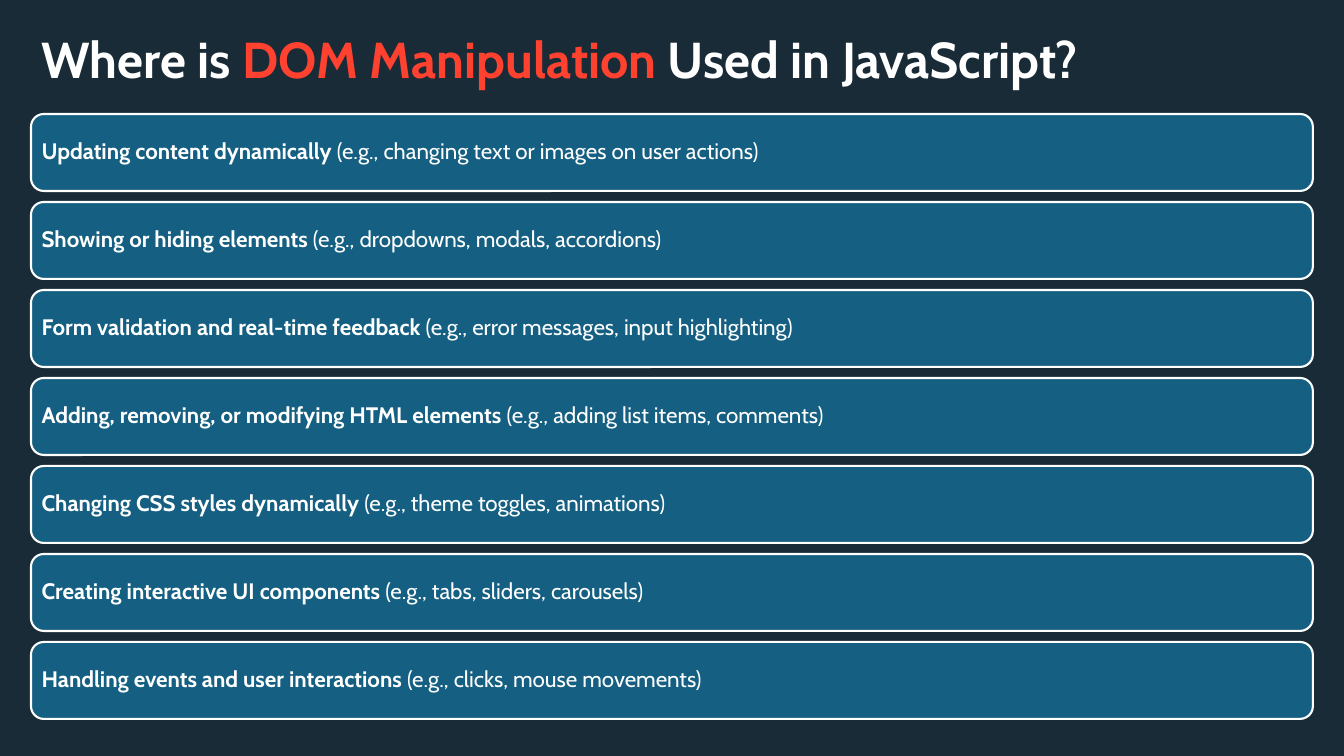
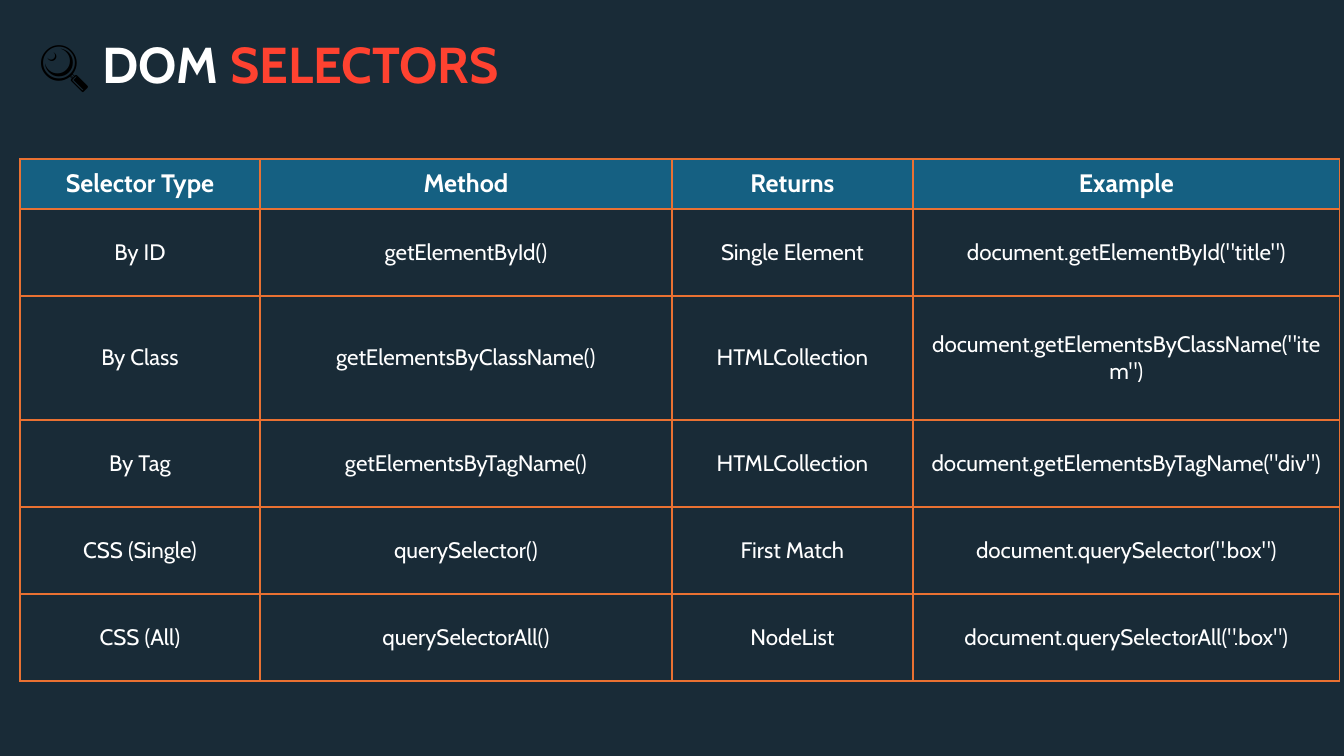
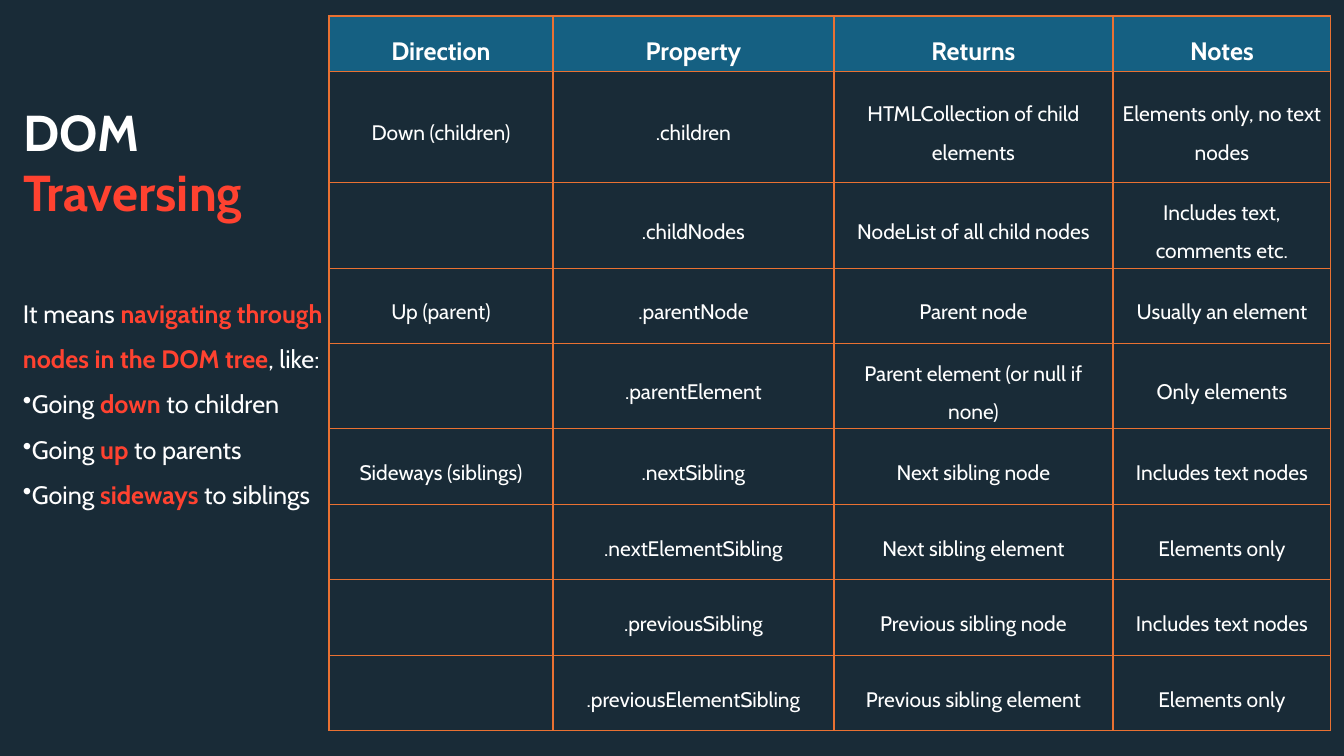
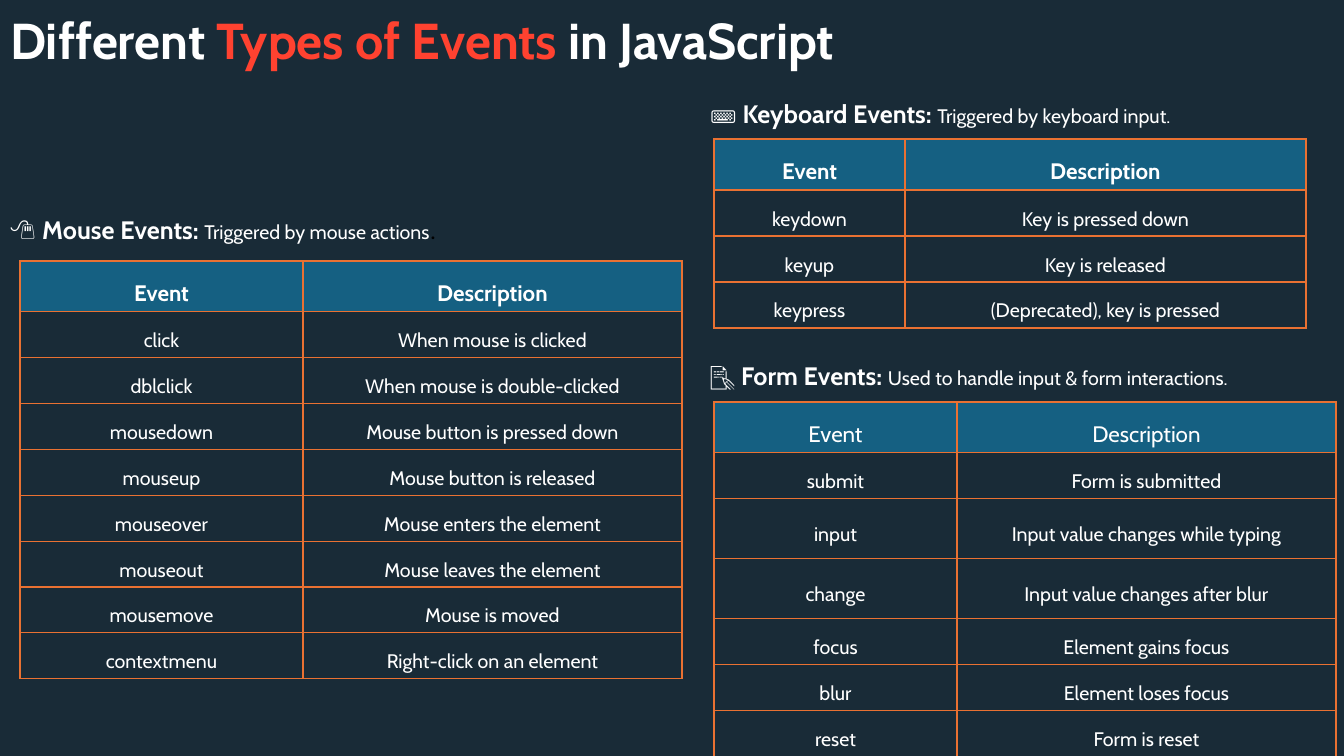
import pptx
import pptx.util
import pptx.dml.color
import pptx.enum.shapes
import pptx.enum.text
import pptx.oxml
import pptx.oxml.ns

SCALE = 914400 / 100.8
COLORS = {
    "night": "192B37",
    "panel": "156082",
    "white": "FFFFFF",
    "accent": "FF4230",
    "border": "E97132",
    "black": "000000",
}
LEFT = pptx.enum.text.PP_ALIGN.LEFT
CENTER = pptx.enum.text.PP_ALIGN.CENTER
TOP = pptx.enum.text.MSO_ANCHOR.TOP
MIDDLE = pptx.enum.text.MSO_ANCHOR.MIDDLE


def write(para, text, size=16, color="white", bold=False, font="Cabin"):
    span = para.add_run()
    span.text = text
    span.font.size = pptx.util.Pt(size)
    span.font.bold = bold
    span.font.name = font
    span.font.color.rgb = pptx.dml.color.RGBColor.from_string(COLORS[color])


def add_grid(page, left, top, widths, heights, rows, head_size, body_size,
             spacing=1.0, head_bold=True, margin=10):
    frame = page.shapes.add_table(
        len(rows), len(widths),
        *[round(v * SCALE) for v in (left, top, sum(widths), sum(heights))])
    table = frame.table
    for column, width in zip(table.columns, widths):
        column.width = round(width * SCALE)
    for row, height in zip(table.rows, heights):
        row.height = round(height * SCALE)
    for r, texts in enumerate(rows):
        for c, text in enumerate(texts):
            cell = table.cell(r, c)
            cell.vertical_anchor = MIDDLE
            cell.margin_left = cell.margin_right = round(margin * SCALE)
            if r == 0:
                cell.fill.solid()
                cell.fill.fore_color.rgb = pptx.dml.color.RGBColor.from_string(COLORS["panel"])
            else:
                cell.fill.background()
            properties = cell._tc.get_or_add_tcPr()
            for index, side in enumerate(("lnL", "lnR", "lnT", "lnB")):
                properties.insert(index, pptx.oxml.parse_xml(
                    f'<a:{side} {pptx.oxml.ns.nsdecls("a")} w="12700"><a:solidFill>'
                    f'<a:srgbClr val="{COLORS["border"]}"/></a:solidFill></a:{side}>'))
            para = cell.text_frame.paragraphs[0]
            para.alignment = CENTER
            para.line_spacing = spacing
            if text:
                write(para, text, size=body_size if r else head_size,
                      bold=head_bold and r == 0)


deck = pptx.Presentation()
deck.slide_width = round(1344 * SCALE)
deck.slide_height = round(756 * SCALE)
background = deck.slide_master.background.fill
background.solid()
background.fore_color.rgb = pptx.dml.color.RGBColor.from_string(COLORS["night"])

titles = [
    ((31, 23, 1313, 72),
     [("Where is ", {}), ("DOM Manipulation ", {"color": "accent"}), ("Used in JavaScript?", {})]),
    ((29, 28, 672, 72),
     [("🔍 ", {"color": "black", "font": "Roboto", "bold": False}), ("DOM ", {}),
      ("SELECTORS", {"color": "accent"})]),
    ((13, 96, 332, 132), [("DOM ", {}), ("Traversing", {"color": "accent"})]),
    ((0, 4, 1095, 72),
     [("Different ", {}), ("Types of Events ", {"color": "accent"}), ("in JavaScript", {})]),
]
pages = []
for place, parts in titles:
    page = deck.slides.add_slide(deck.slide_layouts[5])
    pages.append(page)
    title = page.shapes.title
    title.left, title.top, title.width, title.height = [round(v * SCALE) for v in place]
    title.text_frame.vertical_anchor = TOP
    title.text_frame.auto_size = pptx.enum.text.MSO_AUTO_SIZE.NONE
    para = title.text_frame.paragraphs[0]
    para.alignment = LEFT
    for text, style in parts:
        write(para, text, **{"size": 36, "bold": True, **style})

uses_page, selectors_page, traversing_page, events_page = pages

uses = [
    ("Updating content dynamically", "changing text or images on user actions"),
    ("Showing or hiding elements", "dropdowns, modals, accordions"),
    ("Form validation and real-time feedback", "error messages, input highlighting"),
    ("Adding, removing, or modifying HTML elements", "adding list items, comments"),
    ("Changing CSS styles dynamically", "theme toggles, animations"),
    ("Creating interactive UI components", "tabs, sliders, carousels"),
    ("Handling events and user interactions", "clicks, mouse movements"),
]
for index, (use, examples) in enumerate(uses):
    box = uses_page.shapes.add_shape(
        pptx.enum.shapes.MSO_SHAPE.ROUNDED_RECTANGLE,
        *[round(v * SCALE) for v in (31, 114 + 88 * index, 1282, 77)])
    box.shadow.inherit = False
    box.fill.solid()
    box.fill.fore_color.rgb = pptx.dml.color.RGBColor.from_string(COLORS["panel"])
    box.line.color.rgb = pptx.dml.color.RGBColor.from_string(COLORS["white"])
    box.line.width = pptx.util.Pt(1.5)
    box.text_frame.margin_left = round(7 * SCALE)
    box.text_frame.vertical_anchor = MIDDLE
    para = box.text_frame.paragraphs[0]
    para.alignment = LEFT
    para.line_spacing = 0.9
    write(para, use, bold=True)
    write(para, f" (e.g., {examples})")

add_grid(selectors_page, 20, 159, [240, 412, 241, 427], [50, 87, 124, 87, 87, 87], [
    ("Selector Type", "Method", "Returns", "Example"),
    ("By ID", "getElementById()", "Single Element", 'document.getElementById("title")'),
    ("By Class", "getElementsByClassName()", "HTMLCollection",
     'document.getElementsByClassName("item")'),
    ("By Tag", "getElementsByTagName()", "HTMLCollection",
     'document.getElementsByTagName("div")'),
    ("CSS (Single)", "querySelector()", "First Match", 'document.querySelector(".box")'),
    ("CSS (All)", "querySelectorAll()", "NodeList", 'document.querySelectorAll(".box")'),
], head_size=18, body_size=16)

meaning = [
    (False, "It means ", "navigating through nodes in the DOM tree", ", like:"),
    (True, "Going ", "down ", "to children"),
    (True, "Going ", "up", " to parents"),
    (True, "Going ", "sideways", " to siblings"),
]
box = traversing_page.shapes.add_textbox(*[round(v * SCALE) for v in (13, 278, 332, 238)])
box.text_frame.word_wrap = True
for index, (bulleted, before, key, after) in enumerate(meaning):
    para = box.text_frame.add_paragraph() if index else box.text_frame.paragraphs[0]
    para.line_spacing = 1.5
    if bulleted:
        para._p.get_or_add_pPr().append(pptx.oxml.parse_xml(
            f'<a:buChar {pptx.oxml.ns.nsdecls("a")} char="•"/>'))
    write(para, before, size=18)
    write(para, key, size=18, color="accent", bold=True)
    write(para, after, size=18)

add_grid(traversing_page, 329, 16, [224, 281, 279, 218],
         [54, 111, 85, 75, 85, 76, 75, 76, 75], [
    ("Direction", "Property", "Returns", "Notes"),
    ("Down (children)", ".children", "HTMLCollection of child elements",
     "Elements only, no text nodes"),
    ("", ".childNodes", "NodeList of all child nodes", "Includes text, comments etc."),
    ("Up (parent)", ".parentNode", "Parent node", "Usually an element"),
    ("", ".parentElement", "Parent element (or null if none)", "Only elements"),
    ("Sideways (siblings)", ".nextSibling", "Next sibling node", "Includes text nodes"),
    ("", ".nextElementSibling", "Next sibling element", "Elements only"),
    ("", ".previousSibling", "Previous sibling node", "Includes text nodes"),
    ("", ".previousElementSibling", "Previous sibling element", "Elements only"),
], head_size=18, body_size=15, spacing=1.5, margin=9)

event_groups = [
    ((20, 261), [283, 379], [50] + [45] * 8, True, [
        ("click", "When mouse is clicked"),
        ("dblclick", "When mouse is double-clicked"),
        ("mousedown", "Mouse button is pressed down"),
        ("mouseup", "Mouse button is released"),
        ("mouseover", "Mouse enters the element"),
        ("mouseout", "Mouse leaves the element"),
        ("mousemove", "Mouse is moved"),
        ("contextmenu", "Right-click on an element"),
    ]),
    ((714, 139), [191, 401], [51] + [46] * 3, True, [
        ("keydown", "Key is pressed down"),
        ("keyup", "Key is released"),
        ("keypress", "(Deprecated), key is pressed"),
    ]),
    ((714, 402), [243, 379], [50, 45, 60, 60, 45, 45, 45], False, [
        ("submit", "Form is submitted"),
        ("input", "Input value changes while typing"),
        ("change", "Input value changes after blur"),
        ("focus", "Element gains focus"),
        ("blur", "Element loses focus"),
        ("reset", "Form is reset"),
    ]),
]
for (left, top), widths, heights, head_bold, events in event_groups:
    add_grid(events_page, left, top, widths, heights, [("Event", "Description")] + events,
             head_size=16, body_size=14, spacing=1.5, head_bold=head_bold)

captions = [
    ((0, 194, 681, 56), 1.5, "🖱️ Mouse Events: ", "Triggered by mouse actions", "."),
    ((700, 93, 644, 40), 1.0, "⌨️ Keyboard Events: ", "Triggered by keyboard input.", ""),
    ((700, 355, 644, 40), 1.0, "📝 Form Events: ",
     "Used to handle input & form interactions.", ""),
]
for place, spacing, name, trigger, stop in captions:
    box = events_page.shapes.add_textbox(*[round(v * SCALE) for v in place])
    box.text_frame.word_wrap = True
    para = box.text_frame.paragraphs[0]
    para.line_spacing = spacing
    write(para, name, size=18, bold=True)
    write(para, trigger, size=14)
    if stop:
        write(para, stop, size=18, color="black", font="Roboto")

deck.save("out.pptx")
